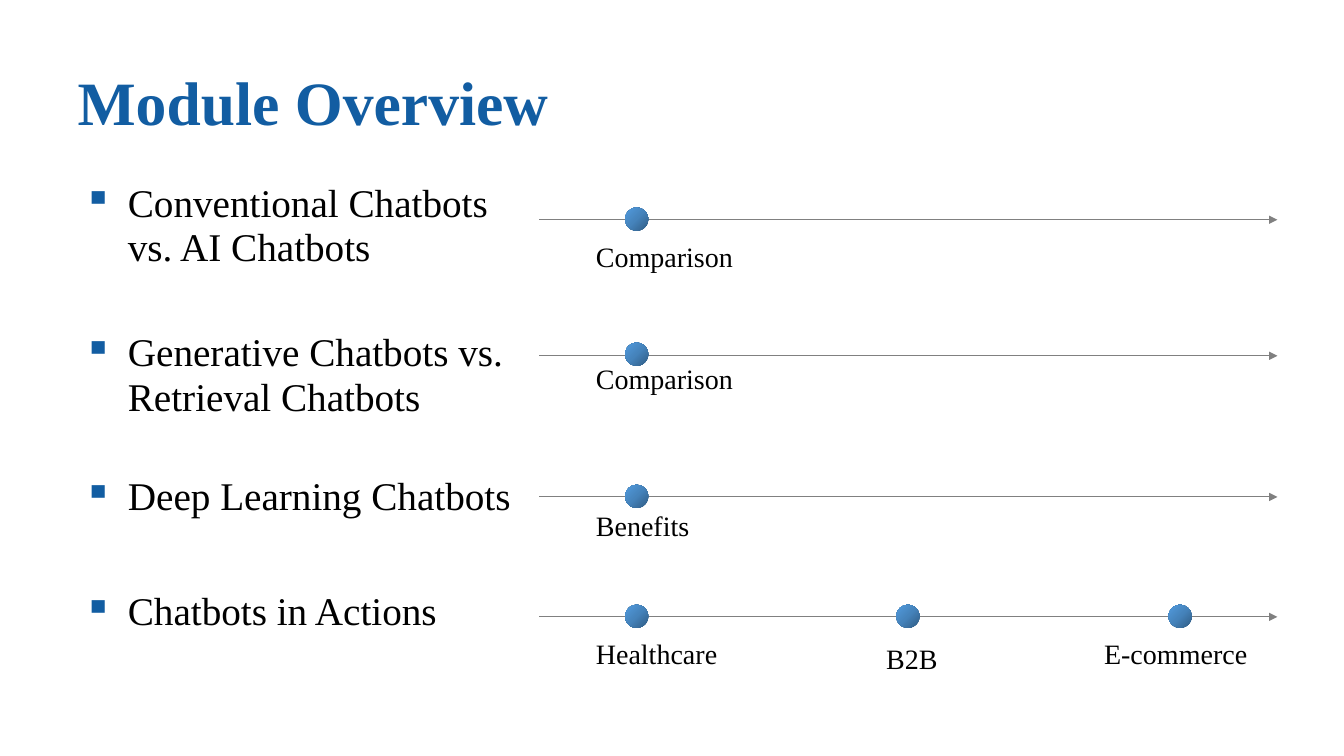
import copy
import pptx
import pptx.util
import pptx.dml.color
import pptx.enum.shapes
import pptx.enum.text
import pptx.oxml
import pptx.oxml.ns
from pptx.util import Inches, Pt

FONT = "Times New Roman"
BLUE = "125DA2"
BLACK = "000000"
GRADIENT = [(0, "305C84"), (0.5, "4583BB"), (1, "529BDE")]
qn = pptx.oxml.ns.qn


def rgb(value):
    return pptx.dml.color.RGBColor.from_string(value)


def style(paragraph, size, color, bold=False, spacing=0.9):
    paragraph.line_spacing = spacing
    paragraph.alignment = pptx.enum.text.PP_ALIGN.LEFT
    for run in paragraph.runs:
        run.font.name = FONT
        run.font.size = Pt(size)
        run.font.bold = bold
        run.font.color.rgb = rgb(color)


deck = pptx.Presentation()
deck.slide_width, deck.slide_height = Inches(13.33), Inches(7.5)
slide = deck.slides.add_slide(deck.slide_layouts[5])
shapes = slide.shapes

# Title
title = shapes.title
title.left, title.top = Inches(0.67), Inches(0.28)
title.width, title.height = Inches(12), Inches(1.53)
title.text_frame.text = "Module Overview"
title.text_frame.vertical_anchor = pptx.enum.text.MSO_ANCHOR.MIDDLE
style(title.text_frame.paragraphs[0], 44, BLUE, bold=True)

# Topic list: text and space above in points
topics = [
    ("Conventional Chatbots vs. AI Chatbots", 0),
    ("Generative Chatbots vs. Retrieval Chatbots", 43),
    ("Deep Learning Chatbots", 39),
    ("Chatbots in Actions", 50),
]
topic_list = shapes.add_textbox(Inches(0.67), Inches(1.75), Inches(4.52), Inches(5)).text_frame
topic_list.word_wrap = True
topic_list.text = "\n".join(topic for topic, gap in topics)
for paragraph, (topic, gap) in zip(topic_list.paragraphs, topics):
    style(paragraph, 28, BLACK, spacing=0.95)
    paragraph.space_before = Pt(gap)
    properties = paragraph._p.get_or_add_pPr()
    properties.set("marL", str(Inches(0.5)))
    properties.set("indent", str(Inches(-0.44)))
    bullet_color = pptx.oxml.parse_xml(
        '<a:buClr xmlns:a="http://schemas.openxmlformats.org/drawingml/2006/main">'
        f'<a:srgbClr val="{BLUE}"/></a:buClr>')
    properties.append(bullet_color)
    bullet = properties.makeelement(qn("a:buChar"), {"char": "\u25aa"})
    properties.append(bullet)

# Timelines: arrow height, dot top, then label with left, top and width
DOT = 0.23
DOT_LEFTS = [6.2, 8.89, 11.59]
timelines = [
    (2.18, 2.06, [("Comparison", 5.85, 2.41, 1.54)]),
    (3.53, 3.4, [("Comparison", 5.85, 3.62, 1.54)]),
    (4.93, 4.81, [("Benefits", 5.85, 5.08, 2.48)]),
    (6.12, 6, [("Healthcare", 5.85, 6.35, 1.61),
               ("B2B", 8.73, 6.4, 1.41),
               ("E-commerce", 10.89, 6.35, 1.52)]),
]
for arrow_y, dot_top, milestones in timelines:
    arrow = shapes.add_connector(
        pptx.enum.shapes.MSO_CONNECTOR.STRAIGHT,
        Inches(5.35), Inches(arrow_y), Inches(12.67), Inches(arrow_y))
    arrow.line.color.rgb = rgb("808080")
    arrow.line.width = Pt(0.75)
    outline = arrow.line._get_or_add_ln()
    outline.append(outline.makeelement(qn("a:tailEnd"), {"type": "triangle"}))
    arrow_properties = arrow._element.spPr
    arrow_properties.append(arrow_properties.makeelement(qn("a:effectLst"), {}))

    for dot_left, (milestone, left, top, width) in zip(DOT_LEFTS, milestones):
        dot = shapes.add_shape(
            pptx.enum.shapes.MSO_SHAPE.OVAL,
            Inches(dot_left), Inches(dot_top), Inches(DOT), Inches(DOT))
        dot.shadow.inherit = False
        dot.line.fill.background()
        dot.fill.gradient()
        dot.fill.gradient_angle = 135
        stop_list = dot._element.spPr.find(".//" + qn("a:gsLst"))
        stop_list.append(copy.deepcopy(stop_list[-1]))
        for stop, (position, color) in zip(dot.fill.gradient_stops, GRADIENT):
            stop.position = position
            stop.color.rgb = rgb(color)

        label = shapes.add_textbox(
            Inches(left), Inches(top), Inches(width), Inches(0.31)).text_frame
        label.word_wrap = True
        label.margin_left = label.margin_right = label.margin_top = label.margin_bottom = 0
        label.vertical_anchor = pptx.enum.text.MSO_ANCHOR.MIDDLE
        label.text = milestone
        style(label.paragraphs[0], 20, BLACK)
        label.paragraphs[0]._p.get_or_add_pPr().set("marL", str(Inches(0.06)))

deck.save("out.pptx")
